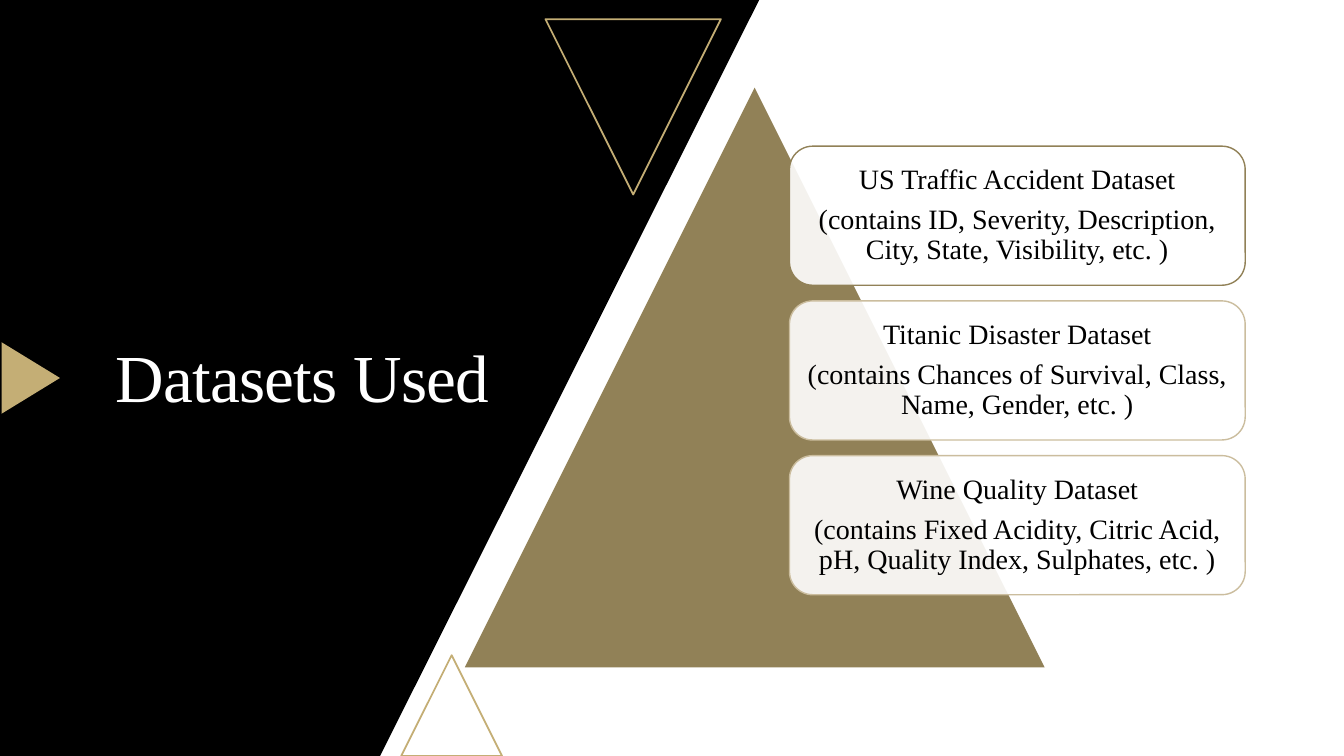
"""Build the "Datasets Used" slide with a title panel and three dataset cards."""
from lxml.etree import SubElement
from pptx import Presentation
from pptx.dml.color import RGBColor
from pptx.enum.shapes import MSO_SHAPE
from pptx.enum.text import MSO_ANCHOR, MSO_AUTO_SIZE, PP_ALIGN
from pptx.oxml.ns import qn
from pptx.util import Inches, Pt

BLACK = RGBColor(0x00, 0x00, 0x00)
WHITE = RGBColor(0xFF, 0xFF, 0xFF)
GOLD = RGBColor(0xC4, 0xAE, 0x75)
OLIVE = RGBColor(0x91, 0x81, 0x57)
SAND = RGBColor(0xCB, 0xBD, 0x9E)
FONT = "Times New Roman"

PANEL_CORNERS = [(0, 0), (7.53, 0), (3.77, 7.5), (0, 7.5)]
CARD_TOP = 1.45
CARD_STEP = 1.535
DATASETS = [
    ("US Traffic Accident Dataset",
     "(contains ID, Severity, Description, City, State, Visibility, etc. )", OLIVE),
    ("Titanic Disaster Dataset",
     "(contains Chances of Survival, Class, Name, Gender, etc. )", SAND),
    ("Wine Quality Dataset",
     "(contains Fixed Acidity, Citric Acid, pH, Quality Index, Sulphates, etc. )", SAND),
]


def set_attributes(target, values):
    """Set every attribute named in a dict of format values."""
    for name, value in values.items():
        setattr(target, name, value)


def style_shape(shape, fill=None, line=None, width=1.0):
    """Give a shape its fill and outline, without a shadow."""
    shape.shadow.inherit = False
    if fill is None:
        shape.fill.background()
    else:
        shape.fill.solid()
        shape.fill.fore_color.rgb = fill
    if line is None:
        shape.line.fill.background()
    else:
        shape.line.color.rgb = line
        shape.line.width = Pt(width)


def add_panel(slide):
    """Draw the slanted black panel behind the title."""
    start, *corners = [(Inches(x), Inches(y)) for x, y in PANEL_CORNERS]
    builder = slide.shapes.build_freeform(*start)
    builder.add_line_segments(corners)
    style_shape(builder.convert_to_shape(), fill=BLACK)


def add_triangle(slide, bounds, rotation=0, **style):
    """Draw a triangle, turned clockwise by the rotation."""
    triangle = slide.shapes.add_shape(
        MSO_SHAPE.ISOSCELES_TRIANGLE, *map(Inches, bounds))
    triangle.rotation = rotation
    style_shape(triangle, **style)


def write_paragraph(paragraph, text, size, color, space_after=0):
    """Write one centred paragraph and return its run."""
    set_attributes(paragraph, {
        "alignment": PP_ALIGN.CENTER, "line_spacing": 0.9,
        "space_before": Pt(0), "space_after": Pt(space_after)})
    run = paragraph.add_run()
    run.text = text
    set_attributes(run.font, {"name": FONT, "size": Pt(size)})
    run.font.color.rgb = color
    return run


def add_title(slide, text):
    """Place the title in front of the panel."""
    title = slide.shapes.title
    set_attributes(title, {
        "left": Inches(0.6), "top": Inches(2.14),
        "width": Inches(4.8), "height": Inches(3.28)})
    set_attributes(title.text_frame, {
        "word_wrap": True, "auto_size": MSO_AUTO_SIZE.NONE,
        "vertical_anchor": MSO_ANCHOR.MIDDLE})
    run = write_paragraph(title.text_frame.paragraphs[0], text, 48, WHITE)
    run.font._element.set("spc", "-50")
    slide.shapes._spTree.append(title.element)


def add_card(slide, top, name, contents, line):
    """Draw a translucent rounded card naming a dataset and its contents."""
    card = slide.shapes.add_shape(
        MSO_SHAPE.ROUNDED_RECTANGLE,
        Inches(7.83), Inches(top), Inches(4.52), Inches(1.38))
    style_shape(card, fill=WHITE, line=line)
    fill_color = card.element.spPr.find(qn("a:solidFill"))[0]
    SubElement(fill_color, qn("a:alpha"), val="90000")
    frame = card.text_frame
    set_attributes(frame, {"word_wrap": True, "vertical_anchor": MSO_ANCHOR.MIDDLE})
    set_attributes(frame, {
        f"margin_{side}": Inches(0.08) for side in ("left", "top", "right", "bottom")})
    write_paragraph(frame.paragraphs[0], name, 20, BLACK, 7)
    write_paragraph(frame.add_paragraph(), contents, 20, BLACK, 7)


def main():
    """Build and save the slide."""
    presentation = Presentation()
    set_attributes(presentation, {
        "slide_width": Inches(13.33), "slide_height": Inches(7.5)})
    slide = presentation.slides.add_slide(presentation.slide_layouts[5])
    add_panel(slide)
    add_triangle(slide, (3.98, 6.5, 1, 1), line=GOLD, width=1.25)
    add_triangle(slide, (5.41, 0.19, 1.74, 1.74), 180, line=GOLD, width=1.25)
    add_triangle(slide, (-0.05, 3.46, 0.71, 0.58), 90, fill=GOLD)
    add_title(slide, "Datasets Used")
    add_triangle(slide, (4.61, 0.87, 5.75, 5.75), fill=OLIVE)
    for index, dataset in enumerate(DATASETS):
        add_card(slide, CARD_TOP + index * CARD_STEP, *dataset)
    presentation.save("out.pptx")


if __name__ == "__main__":
    main()
